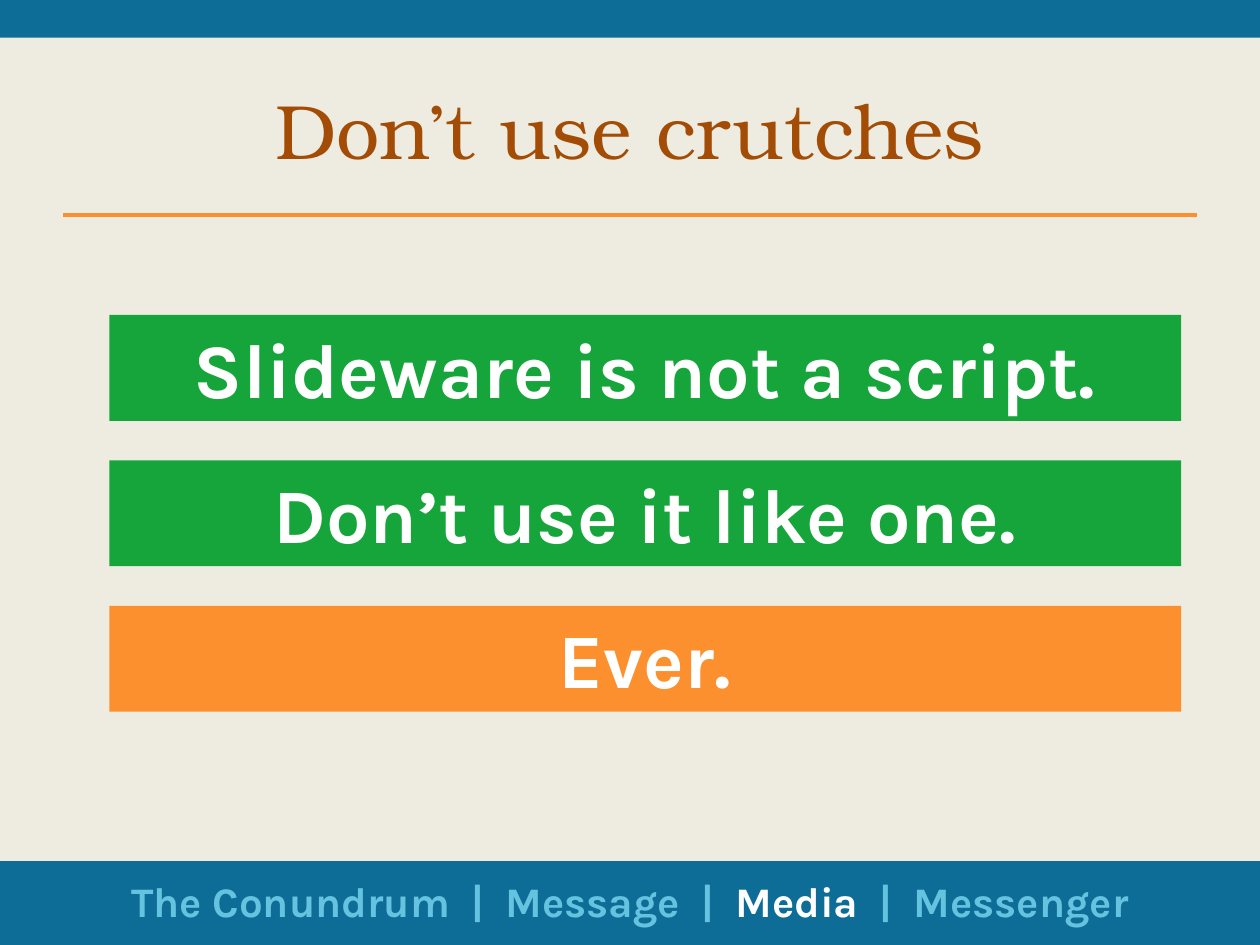
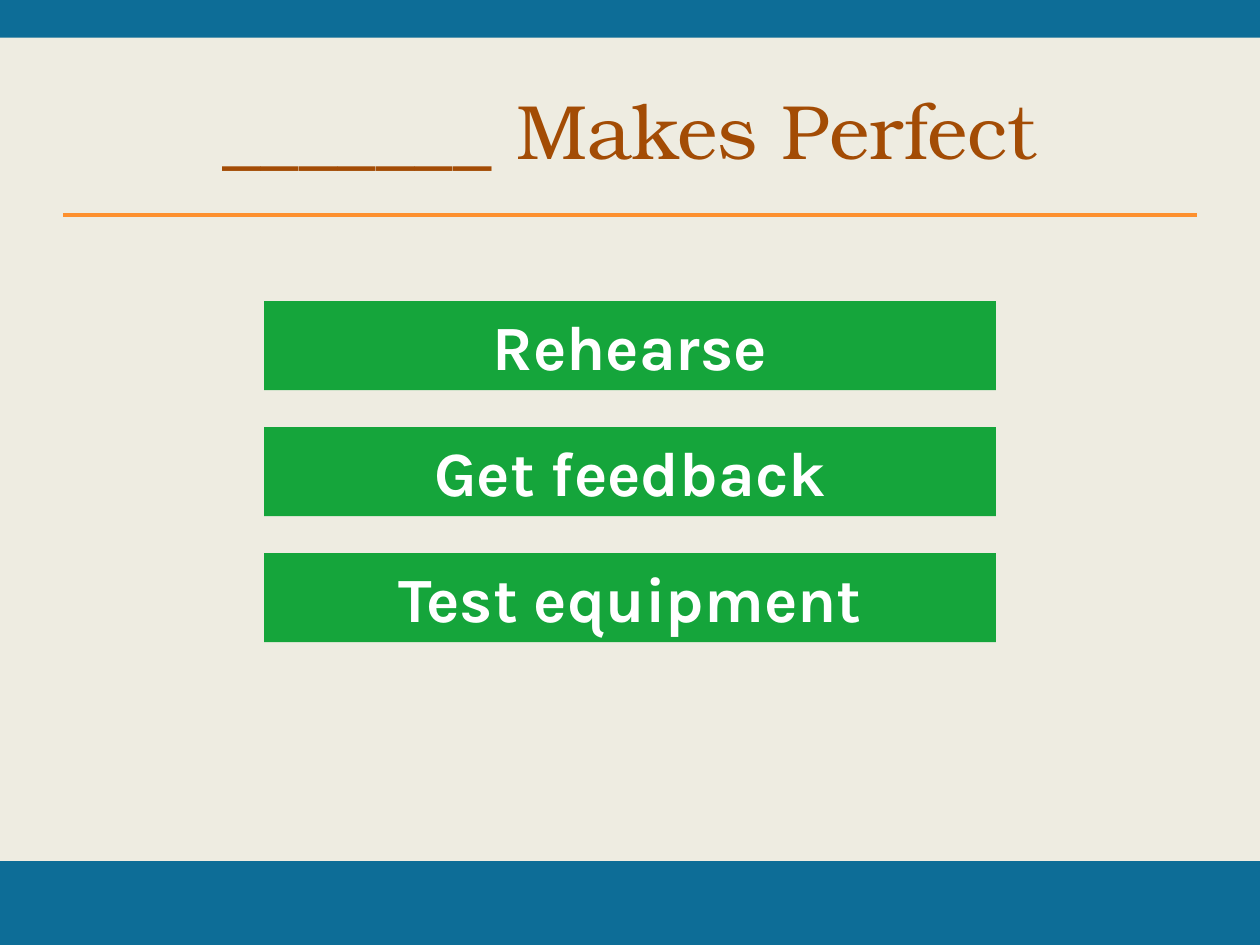
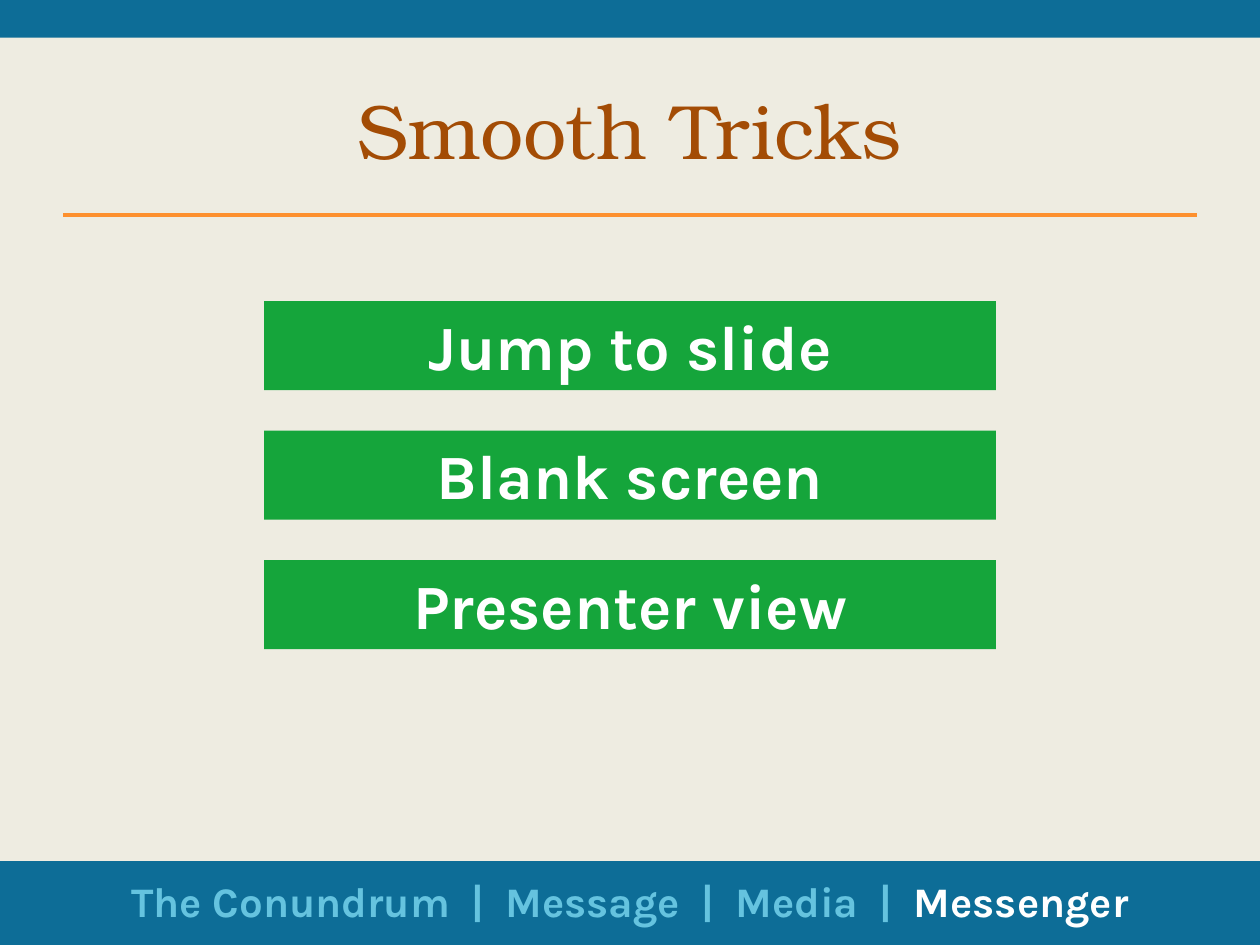
from dataclasses import dataclass
from typing import Optional

from lxml import etree
from pptx import Presentation
from pptx.dml.color import RGBColor
from pptx.enum import shapes, text
from pptx.oxml.ns import qn
from pptx.util import Pt

SLIDE_W, SLIDE_H = 720, 540
MARGIN = 36
CONTENT_W = SLIDE_W - 2 * MARGIN

CREAM, BLUE, SKY, WHITE = "EEECE1", "0D6D97", "65C3DF", "FFFFFF"
GREEN, ORANGE, BROWN = "15A53B", "FD902E", "A34C05"
SERIF, SANS = "TeX Gyre Bonum", "Karla"

SECTIONS = ["The Conundrum", "Message", "Media", "Messenger"]
SEPARATOR = "  |  "


@dataclass
class Box:
    left: float
    top: float
    width: float
    height: float


@dataclass
class BarStack:
    """Equal bars, one below the other at a fixed pitch."""
    first: Box
    pitch: float
    size: float


@dataclass
class Bar:
    label: str
    fill: str = GREEN


@dataclass
class Page:
    title: str
    stack: BarStack
    bars: list[Bar]
    section: Optional[str] = None


TOP_BAND = Box(0, 0, SLIDE_W, 21.6)
BOTTOM_BAND = Box(0, 492, SLIDE_W, 48)
TITLE = Box(MARGIN, MARGIN, CONTENT_W, 75.6)
FOOTER = Box(MARGIN, 496.8, CONTENT_W, 36)
RULE_Y = 122.9

WIDE = Box(62.5, 180, 612.5, 60.5)
NARROW = Box(150.9, 172.1, 418.2, 50.9)

PAGES = [
    Page("Don’t use crutches", BarStack(WIDE, 83.1, 44),
         [Bar("Slideware is not a script."), Bar("Don’t use it like one."),
          Bar("Ever.", ORANGE)], "Media"),
    Page("_______ Makes Perfect", BarStack(NARROW, 72, 36),
         [Bar("Rehearse"), Bar("Get feedback"), Bar("Test equipment")]),
    Page("Smooth Tricks", BarStack(NARROW, 74, 36),
         [Bar("Jump to slide"), Bar("Blank screen"), Bar("Presenter view")],
         "Messenger"),
]


def rgb(color: str) -> RGBColor:
    return RGBColor.from_string(color)


def points(box: Box) -> tuple:
    return Pt(box.left), Pt(box.top), Pt(box.width), Pt(box.height)


def add_run(p, words: str, *, size: float, color: str, font: str = SANS,
            bold: bool = True) -> None:
    p.alignment = text.PP_ALIGN.CENTER
    r = p.add_run()
    r.text = words
    r.font.size, r.font.name, r.font.bold = Pt(size), font, bold
    r.font.color.rgb = rgb(color)


def add_rect(slide, box: Box, fill: str):
    sp = slide.shapes.add_shape(shapes.MSO_SHAPE.RECTANGLE, *points(box))
    sp.shadow.inherit = False
    sp.fill.solid()
    sp.fill.fore_color.rgb = rgb(fill)
    sp.line.fill.background()
    return sp


def add_rule(slide) -> None:
    line = slide.shapes.add_connector(
        shapes.MSO_CONNECTOR.STRAIGHT, Pt(MARGIN), Pt(RULE_Y),
        Pt(MARGIN + CONTENT_W), Pt(RULE_Y))
    line.line.color.rgb = rgb(ORANGE)
    line.line.width = Pt(2)
    etree.SubElement(line.element.spPr, qn("a:effectLst"))


def set_title(slide, words: str) -> None:
    sp = slide.shapes.title
    sp.left, sp.top, sp.width, sp.height = points(TITLE)
    tf = sp.text_frame
    tf.auto_size = text.MSO_AUTO_SIZE.NONE
    tf.vertical_anchor = text.MSO_ANCHOR.MIDDLE
    add_run(tf.paragraphs[0], words, size=44, color=BROWN, font=SERIF, bold=False)


def add_bars(slide, stack: BarStack, bars: list[Bar]) -> None:
    first = stack.first
    for i, bar in enumerate(bars):
        box = Box(first.left, first.top + i * stack.pitch, first.width, first.height)
        tf = add_rect(slide, box, bar.fill).text_frame
        tf.word_wrap = True
        tf.auto_size = text.MSO_AUTO_SIZE.SHAPE_TO_FIT_TEXT
        tf.vertical_anchor = text.MSO_ANCHOR.TOP
        add_run(tf.paragraphs[0], bar.label, size=stack.size, color=WHITE)


def add_footer(slide, current: str) -> None:
    """List the sections, with the current one in white."""
    tf = slide.shapes.add_textbox(*points(FOOTER)).text_frame
    tf.word_wrap = True
    tf.auto_size = text.MSO_AUTO_SIZE.SHAPE_TO_FIT_TEXT
    p = tf.paragraphs[0]
    for i, section in enumerate(SECTIONS):
        if i:
            add_run(p, SEPARATOR, size=24, color=SKY)
        add_run(p, section, size=24, color=WHITE if section == current else SKY)


def add_page(prs, page: Page) -> None:
    slide = prs.slides.add_slide(prs.slide_layouts.get_by_name("Title Only"))
    for band in (BOTTOM_BAND, TOP_BAND):
        add_rect(slide, band, BLUE)
    add_rule(slide)
    set_title(slide, page.title)
    add_bars(slide, page.stack, page.bars)
    if page.section:
        add_footer(slide, page.section)


def main() -> None:
    prs = Presentation()
    prs.slide_width, prs.slide_height = Pt(SLIDE_W), Pt(SLIDE_H)
    background = prs.slide_master.background.fill
    background.solid()
    background.fore_color.rgb = rgb(CREAM)
    for page in PAGES:
        add_page(prs, page)
    prs.save("out.pptx")


if __name__ == "__main__":
    main()
